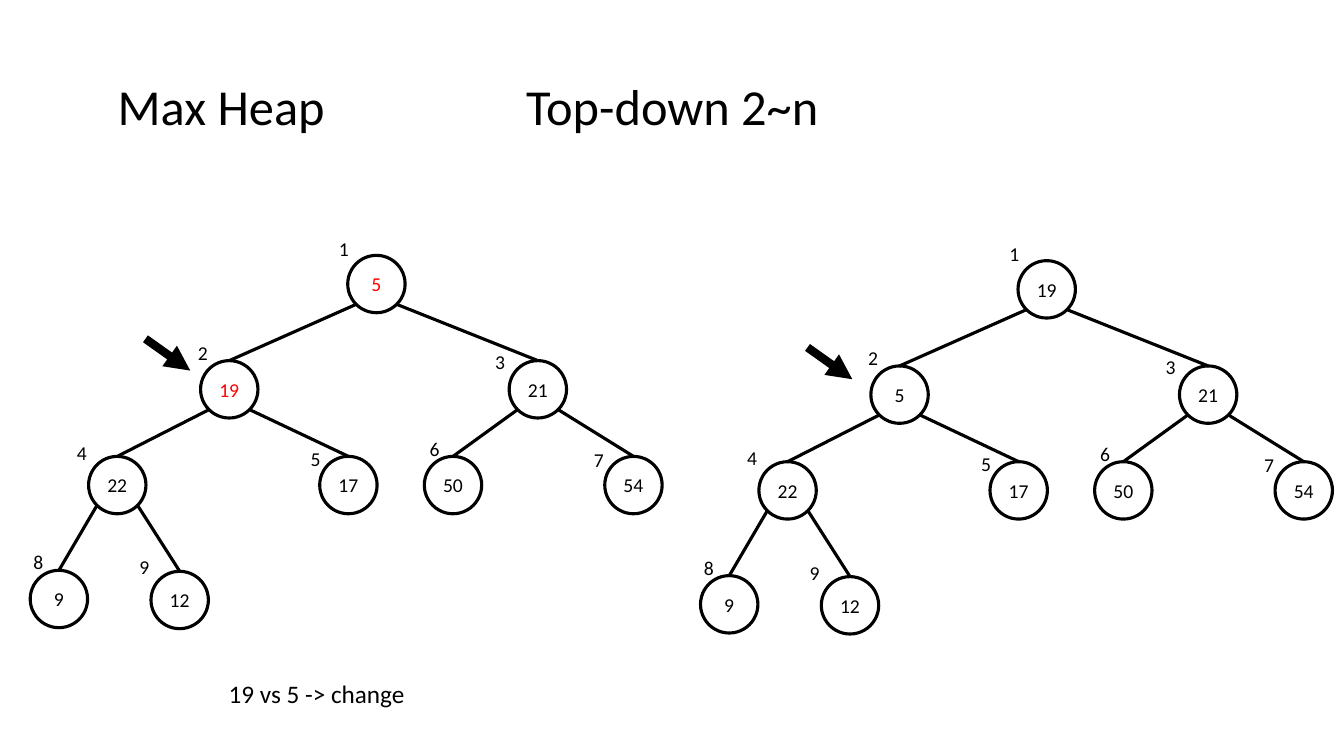
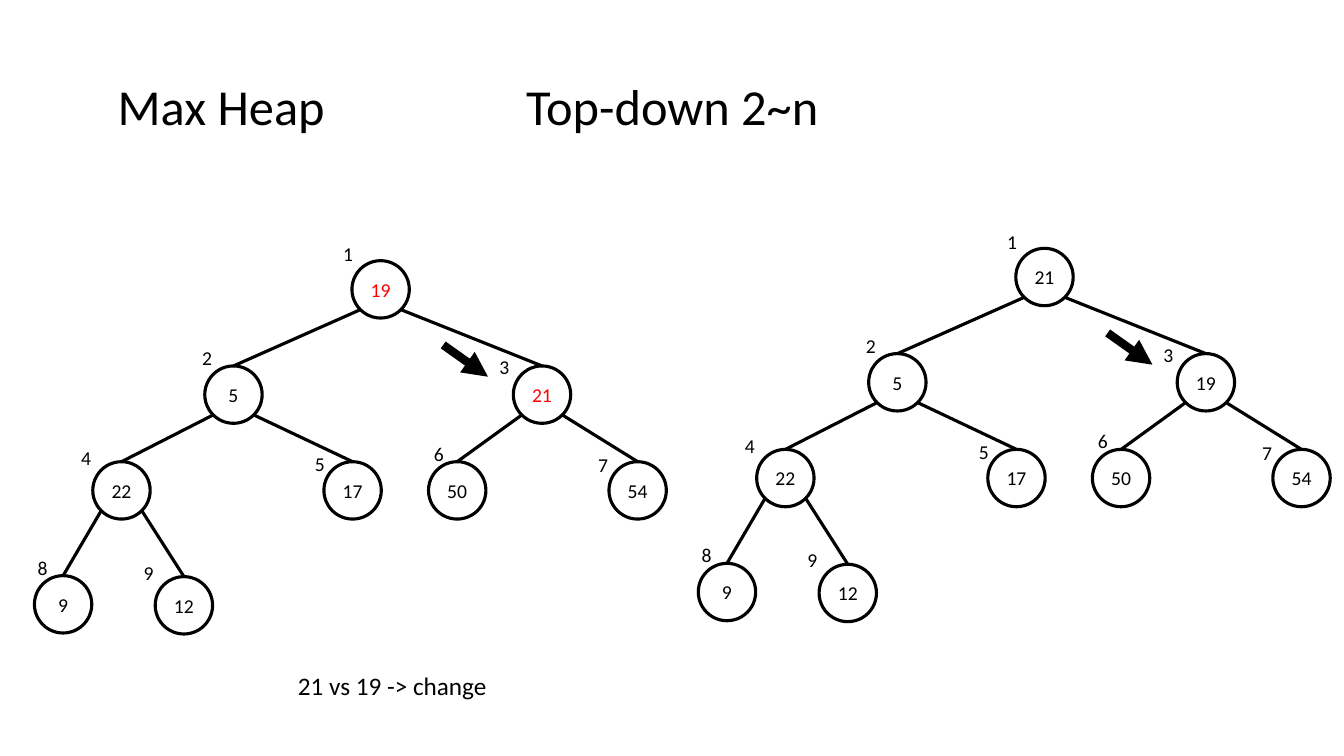
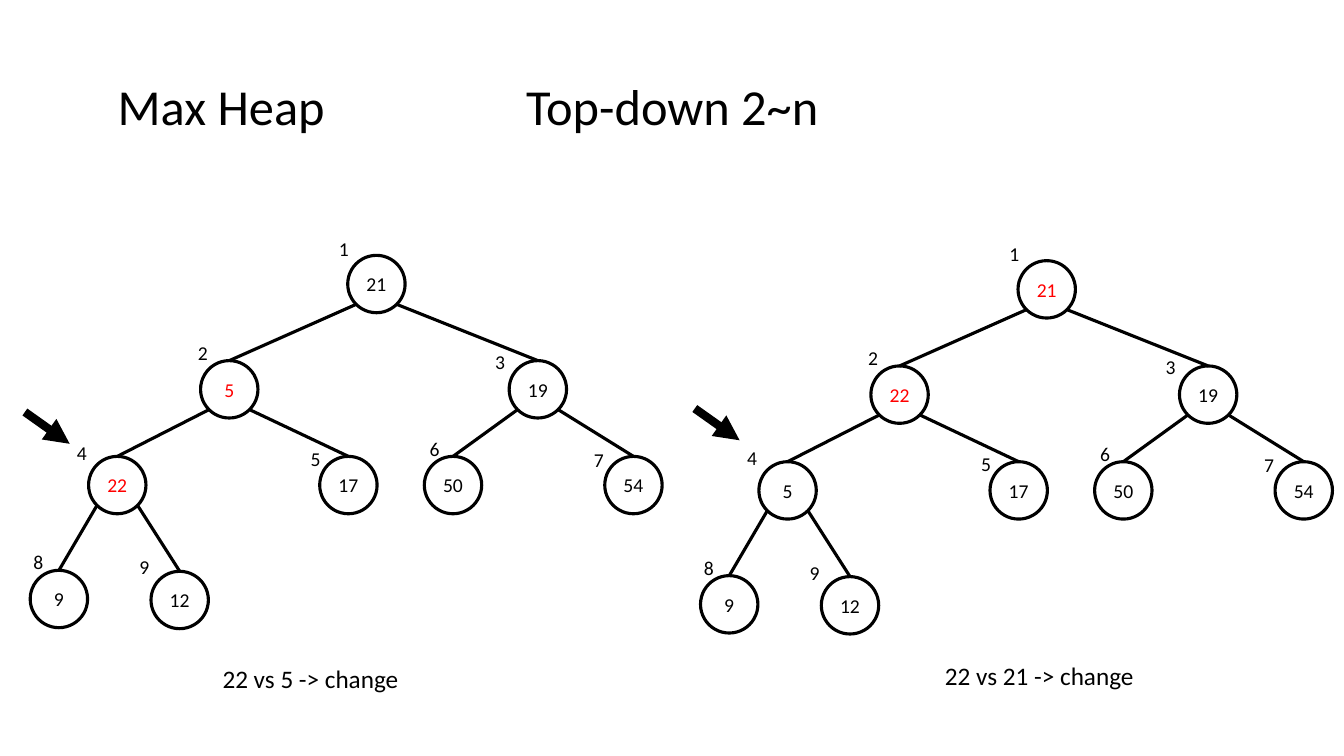
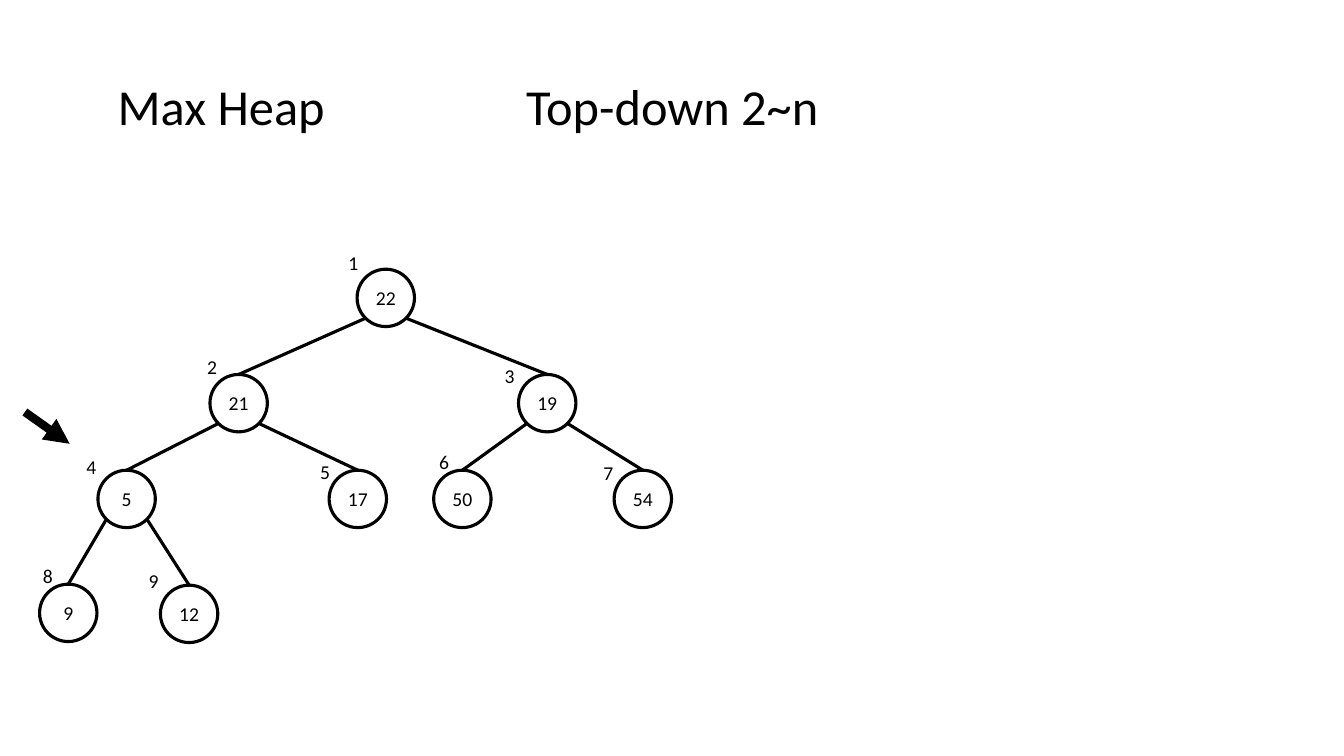
from math import sqrt

from lxml import etree
from pptx import Presentation
from pptx.dml.color import RGBColor
from pptx.enum import shapes, text
from pptx.oxml.ns import qn
from pptx.util import Pt

BLACK = RGBColor(0, 0, 0)
RED = RGBColor(255, 0, 0)
FONT = "Calibri"

# Tree geometry, in points from the top left corner of a tree
NODE_SIZE = 41
NODES = {1: (241.9, 16.8), 2: (136.8, 92), 3: (357.2, 92),
         4: (56.8, 160.4), 5: (221.9, 160.4), 6: (296.6, 160.4),
         7: (425.5, 160.4), 8: (15.1, 241.8), 9: (101.4, 242.5)}
LABELS = {1: (218.2, 0), 2: (117.4, 74.2), 3: (329.8, 80.6),
          4: (31, 145.6), 5: (198, 149.8), 6: (283, 142.6),
          7: (400.3, 150.5), 8: (0, 224), 9: (75.6, 227.5)}
DIAGONAL = NODE_SIZE / 2 / sqrt(2)
ARROW = (32, 22.7)
CAPTION_SIZE = (196, 29)

# One list per slide; each tree has its origin, node values in heap order,
# numbers of the red nodes, arrow start, and caption with its position
LEFT, RIGHT = (6.5, 165.6), (485.3, 169.4)
SLIDES = [
    [(LEFT, [5, 19, 21, 22, 17, 50, 54, 9, 12], {1, 2}, (103.9, 242),
      ("19 vs 5 -> change", 128.2, 480.7)),
     (RIGHT, [19, 5, 21, 22, 17, 50, 54, 9, 12], set(), (576.8, 248.2), None)],
    [((9.5, 169.4), [19, 5, 21, 22, 17, 50, 54, 9, 12], {1, 3}, (316.6, 246.4),
      ("21 vs 19 -> change", 182.2, 475)),
     ((483.7, 160.6), [21, 5, 19, 22, 17, 50, 54, 9, 12], set(),
      (791.2, 237.8), None)],
    [(LEFT, [21, 5, 19, 22, 17, 50, 54, 9, 12], {2, 4}, (17.8, 294.3),
      ("22 vs 5 -> change", 123.8, 470)),
     (RIGHT, [21, 22, 19, 5, 17, 50, 54, 9, 12], {1, 2}, (496.3, 291.8),
      ("22 vs 21 -> change", 644.4, 468.3))],
    [((13.2, 175.5), [22, 21, 19, 5, 17, 50, 54, 9, 12], set(),
      (17.8, 294.3), None)],
]


def add_text(parent, content, x, y, w, h, size=14, color=BLACK, node=False):
    """Centred text, in a text box or in an outlined circle."""
    box = [Pt(v) for v in (x, y, w, h)]
    if node:
        sp = parent.add_shape(shapes.MSO_SHAPE.OVAL, *box)
        sp.shadow.inherit = False
        sp.fill.background()
        sp.line.color.rgb = BLACK
        sp.line.width = Pt(2.25)
    else:
        sp = parent.add_textbox(*box)
    tf = sp.text_frame
    tf.word_wrap = True
    if node:
        tf.margin_left = tf.margin_right = 0
        tf.vertical_anchor = text.MSO_ANCHOR.MIDDLE
    else:
        tf.auto_size = text.MSO_AUTO_SIZE.SHAPE_TO_FIT_TEXT
    p = tf.paragraphs[0]
    p.alignment = text.PP_ALIGN.CENTER
    r = p.add_run()
    r.text = content
    r.font.name = FONT
    r.font.size = Pt(size)
    r.font.color.rgb = color


def add_line(parent, x1, y1, x2, y2, width=2.25, arrow=False):
    """Straight black line, with an arrowhead at its end if asked."""
    line = parent.add_connector(shapes.MSO_CONNECTOR.STRAIGHT,
                                Pt(x1), Pt(y1), Pt(x2), Pt(y2))
    line.line.color.rgb = BLACK
    line.line.width = Pt(width)
    if arrow:
        etree.SubElement(line.line._get_or_add_ln(), qn("a:tailEnd"),
                         type="triangle")
    etree.SubElement(line._element.spPr, qn("a:effectLst"))


prs = Presentation()
prs.slide_width, prs.slide_height = Pt(960), Pt(540)

for trees in SLIDES:
    s = prs.slides.add_slide(prs.slide_layouts[6])

    # Headings
    add_text(s.shapes, "Max Heap", 36, 50, 244, 51, size=36)
    add_text(s.shapes, "Top-down 2~n", 252.7, 50, 455, 51, size=36)

    for (left, top), values, red, (arrow_x, arrow_y), caption in trees:
        tree = s.shapes.add_group_shape().shapes

        # Nodes with their index labels
        for i, value in enumerate(values, 1):
            x, y = left + NODES[i][0], top + NODES[i][1]
            add_text(tree, str(value), x, y, NODE_SIZE, NODE_SIZE,
                     color=RED if i in red else BLACK, node=True)
            label_x, label_y = LABELS[i]
            add_text(tree, str(i), left + label_x, top + label_y, 42, 24.2)

            # Edge from the parent's lower side to the top of this node
            if i > 1:
                parent_x, parent_y = NODES[i // 2]
                side = 1 if i % 2 else -1
                add_line(tree,
                         left + parent_x + NODE_SIZE / 2 + side * DIAGONAL,
                         top + parent_y + NODE_SIZE / 2 + DIAGONAL,
                         x + NODE_SIZE / 2, y)

        # Pointer to the current node, and the comparison made there
        add_line(s.shapes, arrow_x, arrow_y, arrow_x + ARROW[0],
                 arrow_y + ARROW[1], width=6, arrow=True)
        if caption:
            add_text(s.shapes, *caption, *CAPTION_SIZE, size=18)

prs.save("out.pptx")
